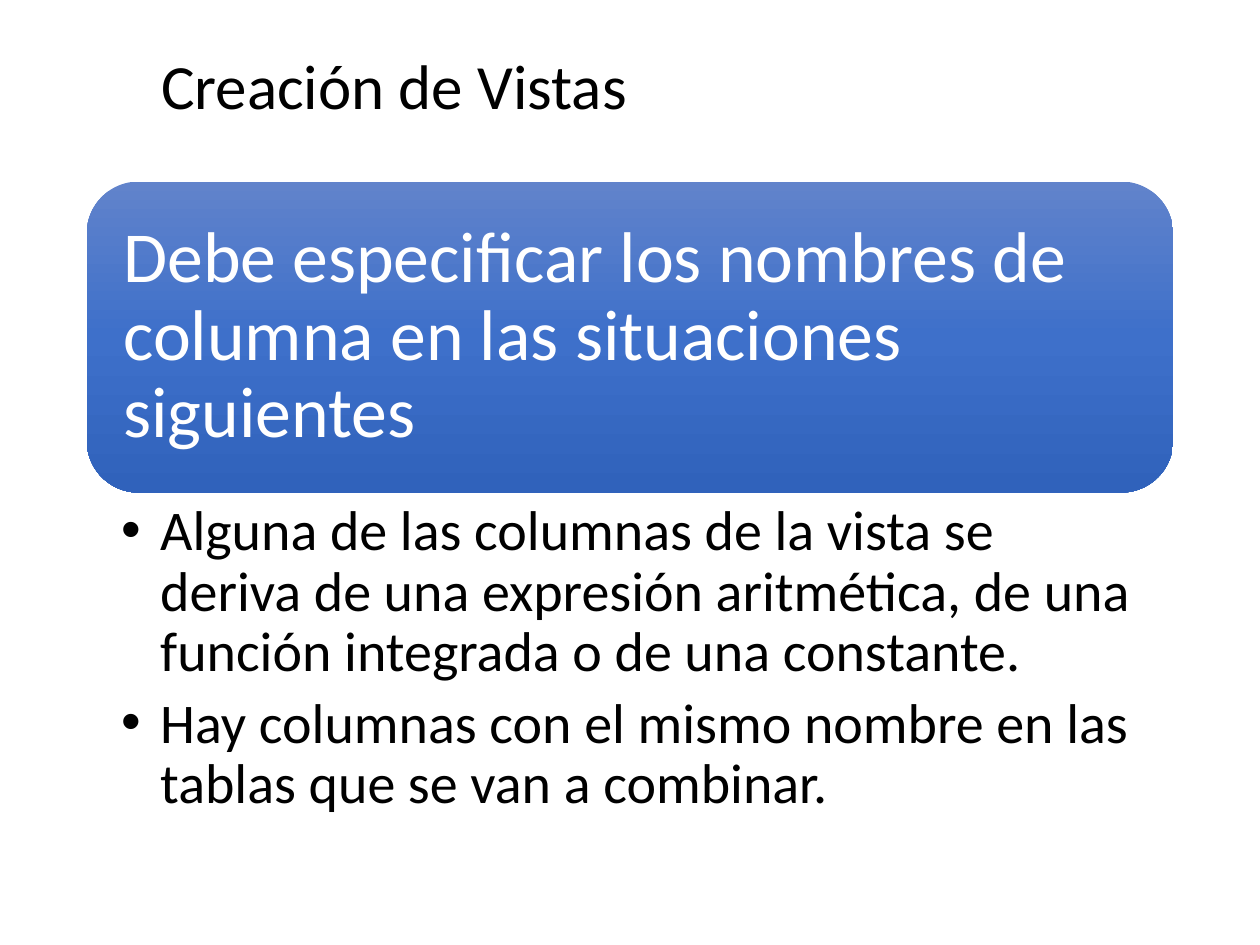
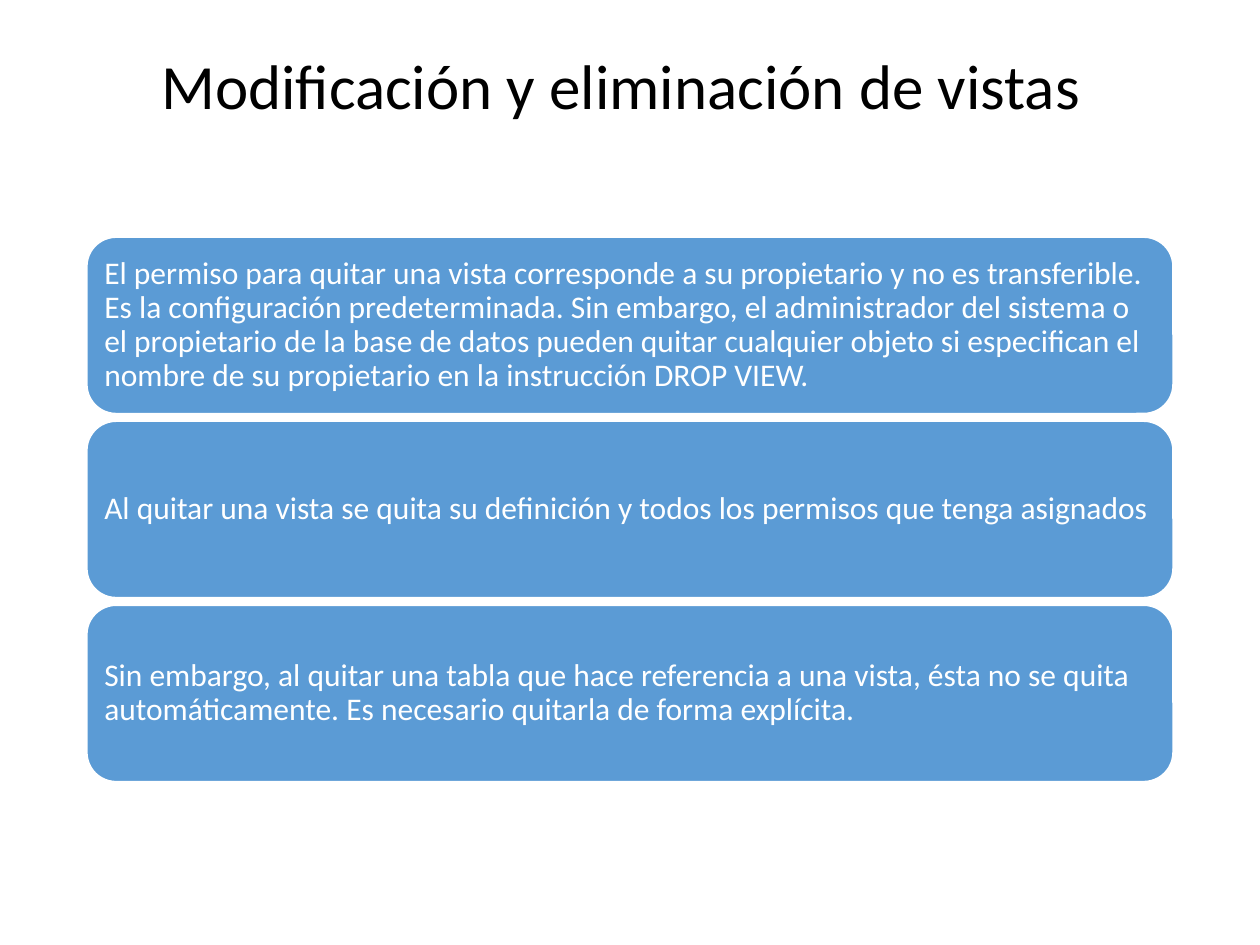
from copy import deepcopy
from dataclasses import dataclass

from lxml import etree
from pptx import Presentation
from pptx import util as u
from pptx.dml.color import RGBColor
from pptx.enum import shapes, text
from pptx.oxml.ns import qn

COLUMN_NAMES = {
    "title": "Creación de Vistas",
    "banner": "Debe especificar los nombres de columna en las situaciones siguientes",
    "cases": [
        "Alguna de las columnas de la vista se deriva de una expresión aritmética, "
        "de una función integrada o de una constante.",
        "Hay columnas con el mismo nombre en las tablas que se van a combinar.",
    ],
}
DROPPING_VIEWS = {
    "title": "Modificación y eliminación de vistas",
    "rules": [
        "El permiso para quitar una vista corresponde a su propietario y no es transferible. "
        "Es la configuración predeterminada. Sin embargo, el administrador del sistema o el "
        "propietario de la base de datos pueden quitar cualquier objeto si especifican el "
        "nombre de su propietario en la instrucción DROP VIEW.",
        "Al quitar una vista se quita su definición y todos los permisos que tenga asignados",
        "Sin embargo, al quitar una tabla que hace referencia a una vista, ésta no se quita "
        "automáticamente. Es necesario quitarla de forma explícita.",
    ],
}


@dataclass(frozen=True)
class Theme:
    font: str = "Calibri"
    ink: str = "000000"
    paper: str = "FFFFFF"
    card: str = "5B9BD5"
    banner: tuple = ("6183CB", "3E70CA", "3062BB")
    title_size: int = 36
    banner_size: int = 41
    case_size: int = 32
    rule_size: int = 18


THEME = Theme()
LEFT, WIDTH = 1.75, 21.9
BANNER_TOP, BANNER_HEIGHT = 3.66, 6.27
CASES_TOP, CASES_HEIGHT = 9.98, 6.83
RULES_TOP, RULE_HEIGHT, RULE_GAP = 4.78, 3.56, 0.15
TITLE_BOX = (3, 1.02, 19.81, 1.55)


def rgb(code):
    return RGBColor.from_string(code)


def place(shape, left, top, width, height):
    shape.left, shape.top = u.Cm(left), u.Cm(top)
    shape.width, shape.height = u.Cm(width), u.Cm(height)


def write(shape, paragraphs, size, color, insets=(0.25, 0.13, 0.25, 0.13),
          anchor=text.MSO_ANCHOR.MIDDLE, after=0, bullet_indent=None):
    frame = shape.text_frame
    frame.text = "\n".join(paragraphs)
    frame.word_wrap = True
    frame.auto_size = text.MSO_AUTO_SIZE.NONE
    frame.vertical_anchor = anchor
    (frame.margin_left, frame.margin_top,
     frame.margin_right, frame.margin_bottom) = map(u.Cm, insets)
    for paragraph in frame.paragraphs:
        paragraph.alignment = text.PP_ALIGN.LEFT
        paragraph.line_spacing = 0.9
        paragraph.space_before = u.Pt(0)
        paragraph.space_after = u.Pt(after)
        font = paragraph.runs[0].font
        font.name, font.size, font.color.rgb = THEME.font, u.Pt(size), rgb(color)
        if bullet_indent:
            properties = paragraph._p.get_or_add_pPr()
            properties.set("marL", str(u.Cm(bullet_indent)))
            properties.set("indent", str(-u.Cm(bullet_indent)))
            etree.SubElement(properties, qn("a:buChar"), char="•")


def add_titled_slide(deck, layout, title):
    slide = deck.slides.add_slide(deck.slide_layouts.get_by_name(layout))
    place(slide.shapes.title, *TITLE_BOX)
    write(slide.shapes.title, [title], THEME.title_size, THEME.ink)
    return slide


def add_panel(slide, top, height, message, size, inset):
    panel = slide.shapes.add_shape(
        shapes.MSO_SHAPE.ROUNDED_RECTANGLE,
        u.Cm(LEFT), u.Cm(top), u.Cm(WIDTH), u.Cm(height))
    panel.shadow.inherit = False
    write(panel, [message], size, THEME.paper, insets=(inset,) * 4)
    return panel


def shade(panel, colors):
    panel.fill.gradient()
    panel.fill.gradient_angle = 270
    stop_list = panel._element.spPr.find(".//" + qn("a:gsLst"))
    stop_list.append(deepcopy(stop_list[0]))
    for i, (stop, color) in enumerate(zip(panel.fill.gradient_stops, colors)):
        stop.position = i / (len(colors) - 1)
        stop.color.rgb = rgb(color)


def build_column_names(deck):
    slide = add_titled_slide(deck, "Title and Content", COLUMN_NAMES["title"])
    banner = add_panel(slide, BANNER_TOP, BANNER_HEIGHT, COLUMN_NAMES["banner"],
                       THEME.banner_size, 0.43)
    shade(banner, THEME.banner)
    banner.line.fill.background()
    cases = slide.placeholders[1]
    place(cases, LEFT, CASES_TOP, WIDTH, CASES_HEIGHT)
    write(cases, COLUMN_NAMES["cases"], THEME.case_size, THEME.ink,
          insets=(0.69, 0.15, 0.81, 0.15), anchor=text.MSO_ANCHOR.TOP,
          after=6, bullet_indent=0.79)


def build_dropping_views(deck):
    slide = add_titled_slide(deck, "Title Only", DROPPING_VIEWS["title"])
    for i, rule in enumerate(DROPPING_VIEWS["rules"]):
        card = add_panel(slide, RULES_TOP + i * (RULE_HEIGHT + RULE_GAP), RULE_HEIGHT,
                         rule, THEME.rule_size, 0.18)
        card.fill.solid()
        card.fill.fore_color.rgb = rgb(THEME.card)
        card.line.color.rgb = rgb(THEME.paper)
        card.line.width = u.Pt(1)


def main():
    deck = Presentation()
    deck.slide_width, deck.slide_height = u.Cm(25.4), u.Cm(19.05)
    build_column_names(deck)
    build_dropping_views(deck)
    deck.save("out.pptx")


if __name__ == "__main__":
    main()
